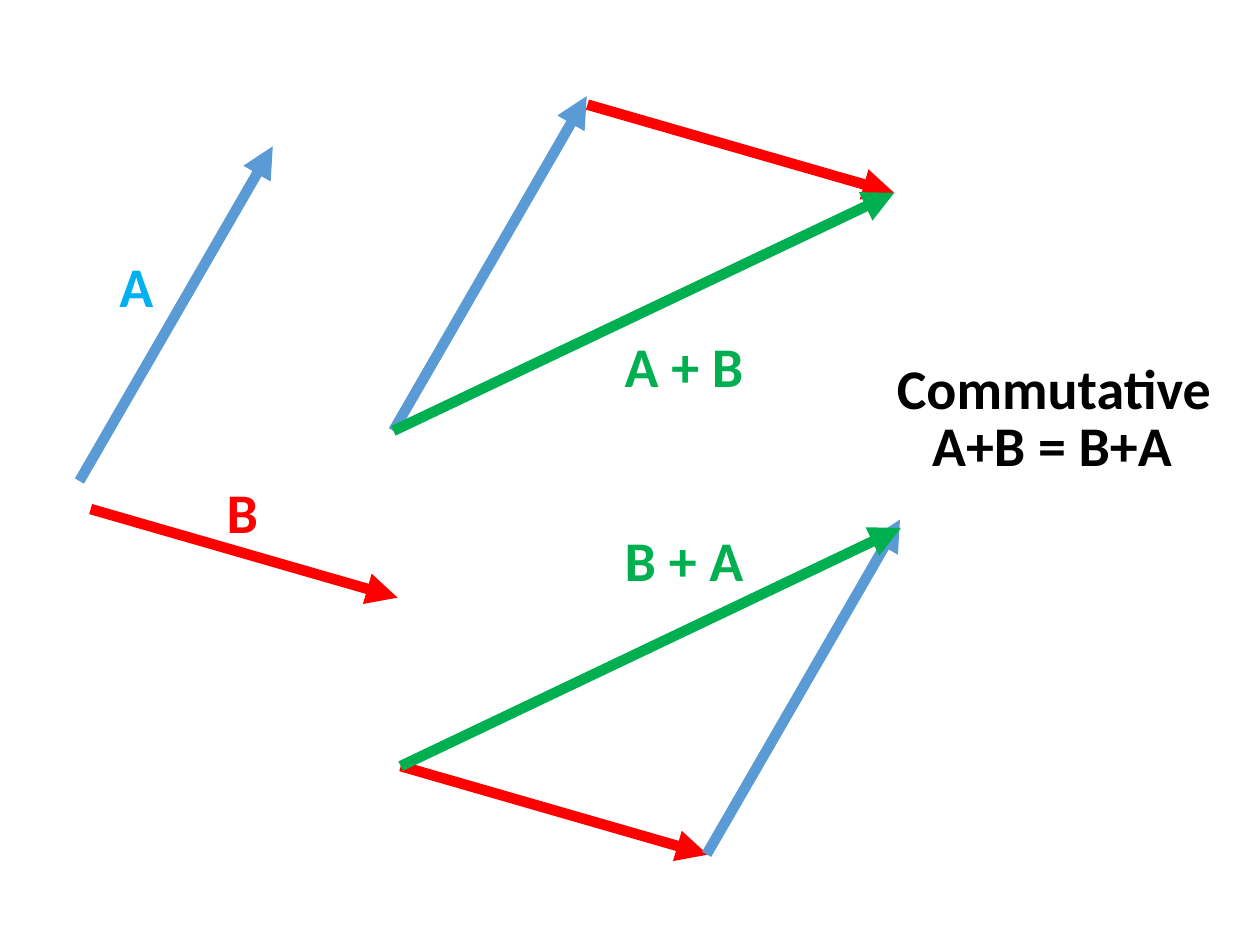
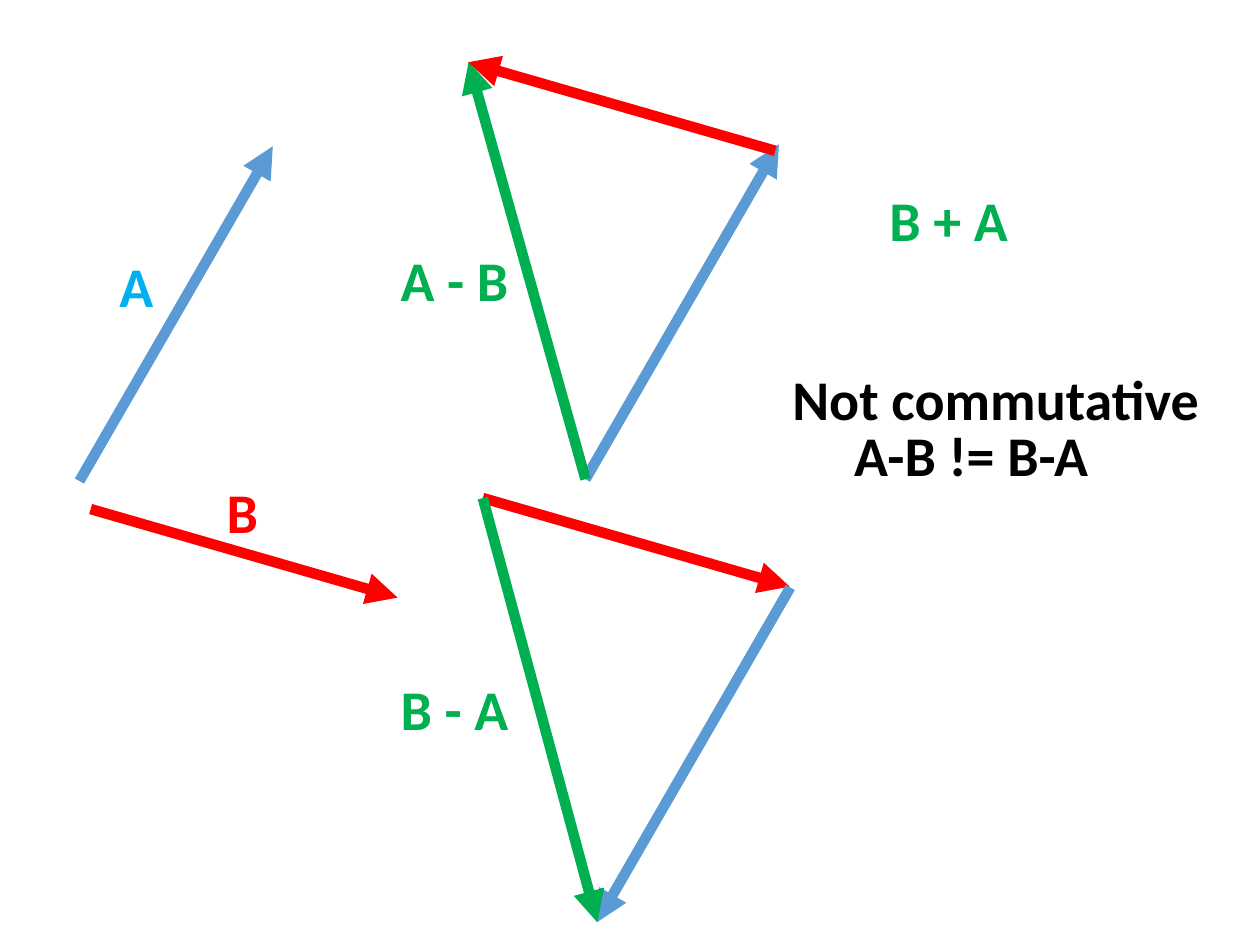
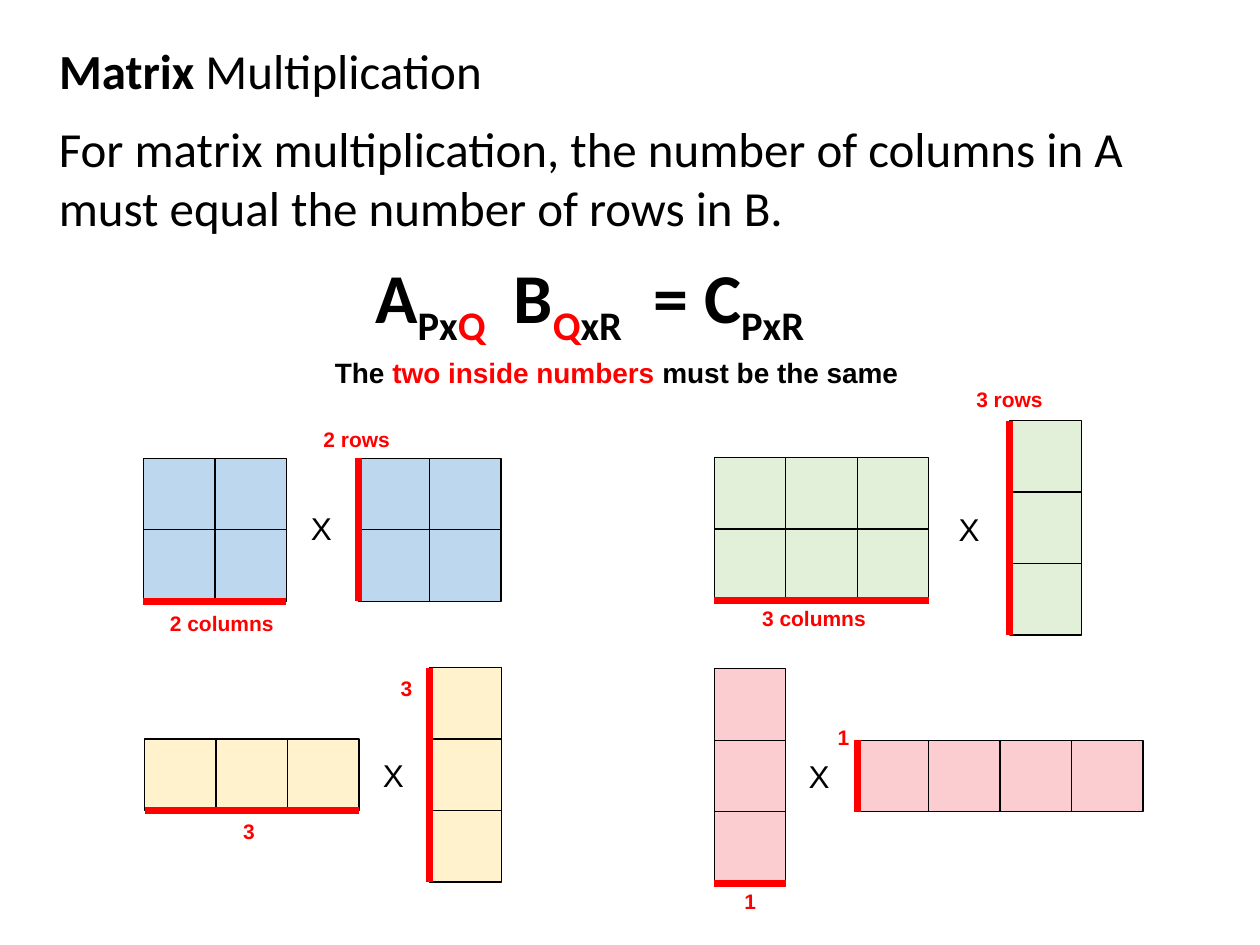
from lxml.etree import SubElement
from pptx import Presentation
from pptx.dml.color import RGBColor
from pptx.enum.shapes import MSO_CONNECTOR, MSO_SHAPE
from pptx.enum.text import MSO_ANCHOR, MSO_AUTO_SIZE, PP_ALIGN
from pptx.oxml.ns import qn
from pptx.util import Pt

HEX = {
    "black": "000000", "red": "FF0000", "green": "00B050",
    "blue": "5B9BD5", "sky": "00B0F0",
    "ice": "BDD7EE", "cream": "FFF2CC", "mint": "E2F0D9", "pink": "FBCDD1",
}
CELL = 40.85

# Vectors: colour and (dx, dy)
VECTORS = {"A": ("blue", 110.5, -191.3), "B": ("red", 175.4, 50.6)}

# Labels: text, colour, (left, top, width)
# Arrows: vector name, sign, start; results: "sum", start, end
GIVEN = {
    "arrows": [("A", 1, (45.4, 274.9)), ("B", 1, (51.8, 290.9))],
    "labels": [("A", "sky", (61.2, 140.4, 33.8)),
               ("B", "red", (122.4, 269.3, 32.4))],
}
BOARDS = [
    {
        "arrows": [
            ("A", 1, (224.8, 246.2)), ("B", 1, (335.7, 59.8)),
            ("sum", (224.8, 246.2), (511, 110.2)),
            ("B", 1, (229, 437.8)), ("A", 1, (403.8, 488.2)),
            ("sum", (229, 437.8), (514.8, 301.7)),
        ],
        "labels": [
            ("A + B", "green", (349.9, 185.8, 82.8)),
            ("B + A", "green", (349.9, 296.6, 82.8)),
            ("Commutative", "black", (505.4, 198.7, 195.8)),
            ("A+B = B+A", "black", (525.6, 231.1, 153.4)),
        ],
    },
    {
        "arrows": [
            ("A", 1, (334.6, 273.8)), ("sum", (334.6, 273.8), (267.8, 35.3)),
            ("B", 1, (275.9, 284.6)), ("A", -1, (451.6, 335.7)),
            ("sum", (275.9, 284.6), (341.3, 527)),
            ("B", -1, (443, 86.2)),
        ],
        "labels": [
            ("A - B", "green", (221.8, 136.8, 77)),
            ("B - A", "green", (221.8, 381.6, 77)),
            ("B + A", "green", (501.1, 102.2, 82.8)),
            ("Not commutative", "black", (445.7, 204.5, 249.1)),
            ("A-B != B-A", "black", (481, 236.9, 151.2)),
        ],
    },
]

TITLE = [("Matrix", {"bold": True}), " Multiplication"]
RULE = ("For matrix multiplication, the number of columns in A "
        "must equal the number of rows in B.")
RED, SUB = {"color": "red"}, {"sub": True}
FORMULA = ["A", ("Px", SUB), ("Q", RED | SUB), "\tB", ("Q", RED | SUB),
           ("xR", SUB), "\t= C", ("PxR", SUB)]
STOPS = [79, 159]
HINT = ["The ", ("two inside numbers ", RED), "must be the same"]

# Grids: left, top, rows, columns; tags: text, (left, top, width)
PRODUCTS = [
    {"fill": "ice", "left": (82, 261.9, 2, 2), "right": (204.7, 261.9, 2, 2),
     "times": (170.6, 287.3),
     "tags": [("2 columns", (90, 345.6, 74.2)), ("2 rows", (177.8, 240.5, 52.6))]},
    {"fill": "cream", "left": (82.6, 422.3, 1, 3), "right": (245.6, 381.5, 3, 1),
     "times": (211.7, 428.4),
     "tags": [("3", (131.8, 464.4, 20.9)), ("3", (221.8, 382.3, 20.9))]},
    {"fill": "mint", "left": (408.2, 261.4, 2, 3), "right": (577.1, 240.3, 3, 1),
     "times": (540.7, 288),
     "tags": [("3 columns", (428.4, 342.7, 74.2)), ("3 rows", (550.8, 217.4, 52.6))]},
    {"fill": "pink", "left": (408.2, 382.2, 3, 1), "right": (489.8, 423, 1, 4),
     "times": (455, 429.1),
     "tags": [("1", (418.3, 504, 20.9)), ("1", (471.6, 410.4, 20.9))]},
]


def rgb(name):
    return RGBColor.from_string(HEX[name])


def write(shape, runs, size=32, color="black", font="Calibri", bold=False,
          wrap=False, stops=()):
    """Fill a shape with one paragraph; a run is text or (text, changes)."""
    frame = shape.text_frame
    frame.word_wrap = wrap
    frame.auto_size = MSO_AUTO_SIZE.SHAPE_TO_FIT_TEXT
    frame.vertical_anchor = MSO_ANCHOR.TOP
    para = frame.paragraphs[0]
    para.alignment = PP_ALIGN.LEFT
    if stops:
        tabs = SubElement(para._p.get_or_add_pPr(), qn("a:tabLst"))
        for stop in stops:
            SubElement(tabs, qn("a:tab"), pos=str(Pt(stop)), algn="l")
    for part in [runs] if isinstance(runs, str) else runs:
        text, change = (part, {}) if isinstance(part, str) else part
        run = para.add_run()
        run.text = text
        run.font.name = font
        run.font.size = Pt(size)
        run.font.bold = change.get("bold", bold)
        run.font.color.rgb = rgb(change.get("color", color))
        if change.get("sub"):
            run.font._element.set("baseline", "-25000")


def label(shapes, runs, box, **style):
    write(shapes.add_textbox(*map(Pt, box)), runs, **style)


def stroke(shapes, start, end, color, width, arrow=False):
    line = shapes.add_connector(MSO_CONNECTOR.STRAIGHT, *map(Pt, start + end))
    line.line.color.rgb = rgb(color)
    line.line.width = Pt(width)
    if arrow:
        SubElement(line.line._get_or_add_ln(), qn("a:tailEnd"), type="triangle")
    SubElement(line._element.spPr, qn("a:effectLst"))


def board(shapes, arrows, labels):
    for name, *place in arrows:
        if name == "sum":
            color, (start, end) = "green", place
        else:
            color, dx, dy = VECTORS[name]
            sign, start = place
            end = (start[0] + sign * dx, start[1] + sign * dy)
        stroke(shapes, start, end, color, 6, arrow=True)
    for text, color, box in labels:
        label(shapes, text, box + (46,), color=color, bold=True)


def grid(shapes, left, top, rows, cols, fill):
    for row in range(rows):
        for col in range(cols):
            cell = shapes.add_shape(
                MSO_SHAPE.RECTANGLE, Pt(left + col * CELL),
                Pt(top + row * CELL), Pt(CELL), Pt(CELL))
            cell.shadow.inherit = False
            cell.fill.solid()
            cell.fill.fore_color.rgb = rgb(fill)
            cell.line.color.rgb = rgb("black")
            cell.line.width = Pt(0.75)


def product(slide, fill, left, right, times, tags):
    """Draw two grids, marking the columns of one and the rows of the other."""
    shapes = slide.shapes.add_group_shape().shapes
    grid(shapes, *left, fill)
    grid(shapes, *right, fill)
    label(shapes, "X", times + (27.4, 29.5), size=18, font="Arial")
    x, y, rows, cols = left
    base = y + rows * CELL
    stroke(shapes, (x, base), (x + cols * CELL, base), "red", 4)
    x, y, rows, cols = right
    stroke(shapes, (x, y + rows * CELL), (x, y), "red", 4)
    for text, box in tags:
        label(slide.shapes, text, box + (21.6,), size=12, font="Arial",
              color="red", bold=True)


def main():
    deck = Presentation()
    deck.slide_width, deck.slide_height = Pt(720), Pt(540)
    titled, blank = deck.slide_layouts[5], deck.slide_layouts[6]

    for item in BOARDS:
        shapes = deck.slides.add_slide(blank).shapes
        board(shapes, **GIVEN)
        board(shapes, **item)

    slide = deck.slides.add_slide(titled)
    title = slide.shapes.title
    title.left, title.top, title.width, title.height = map(
        Pt, (26.6, 19.4, 259.2, 41))
    write(title, TITLE, size=28)
    label(slide.shapes, RULE, (26.6, 64.1, 635.8, 74.9), size=28, wrap=True)
    for item in PRODUCTS:
        product(slide, **item)
    label(slide.shapes, FORMULA, (207.4, 141.1, 290.9, 55.4), size=40,
          bold=True, stops=STOPS)
    label(slide.shapes, HINT, (184.3, 199.4, 337.7, 26.6), size=16,
          font="Arial", bold=True)

    deck.save("out.pptx")


if __name__ == "__main__":
    main()
